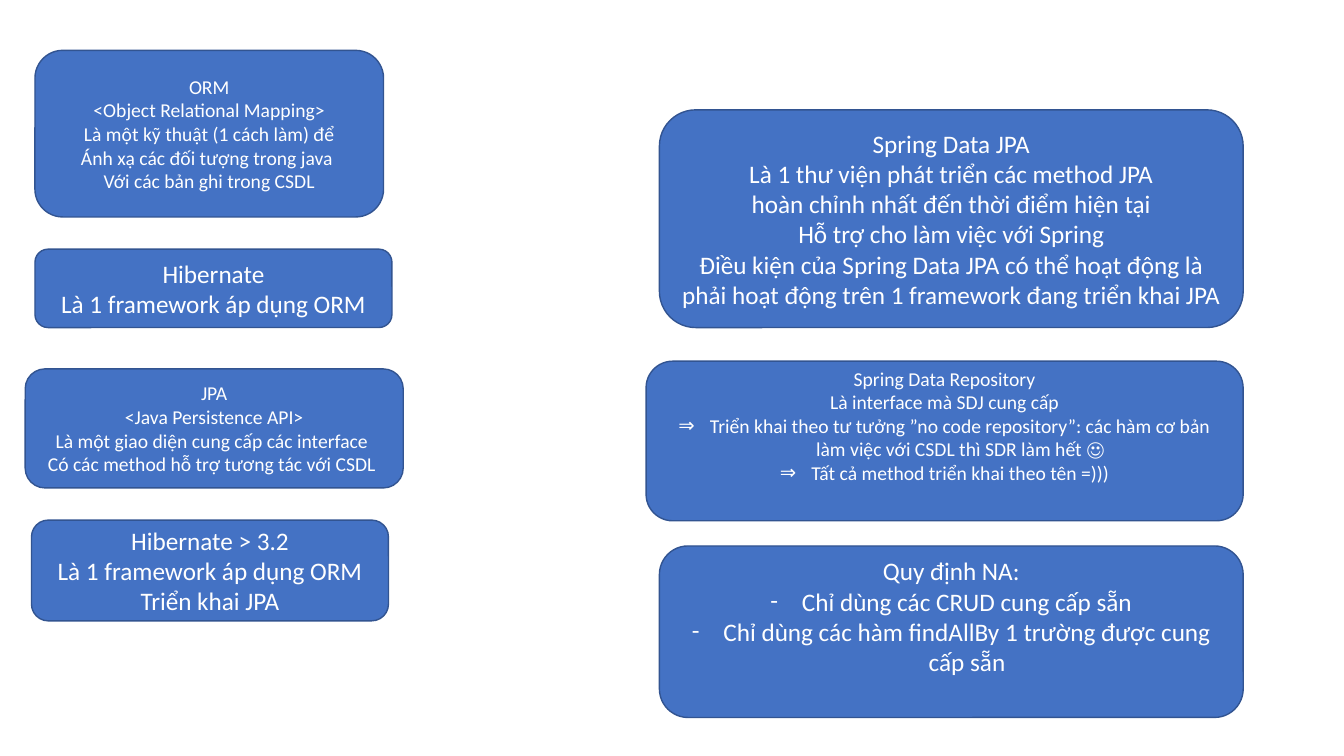
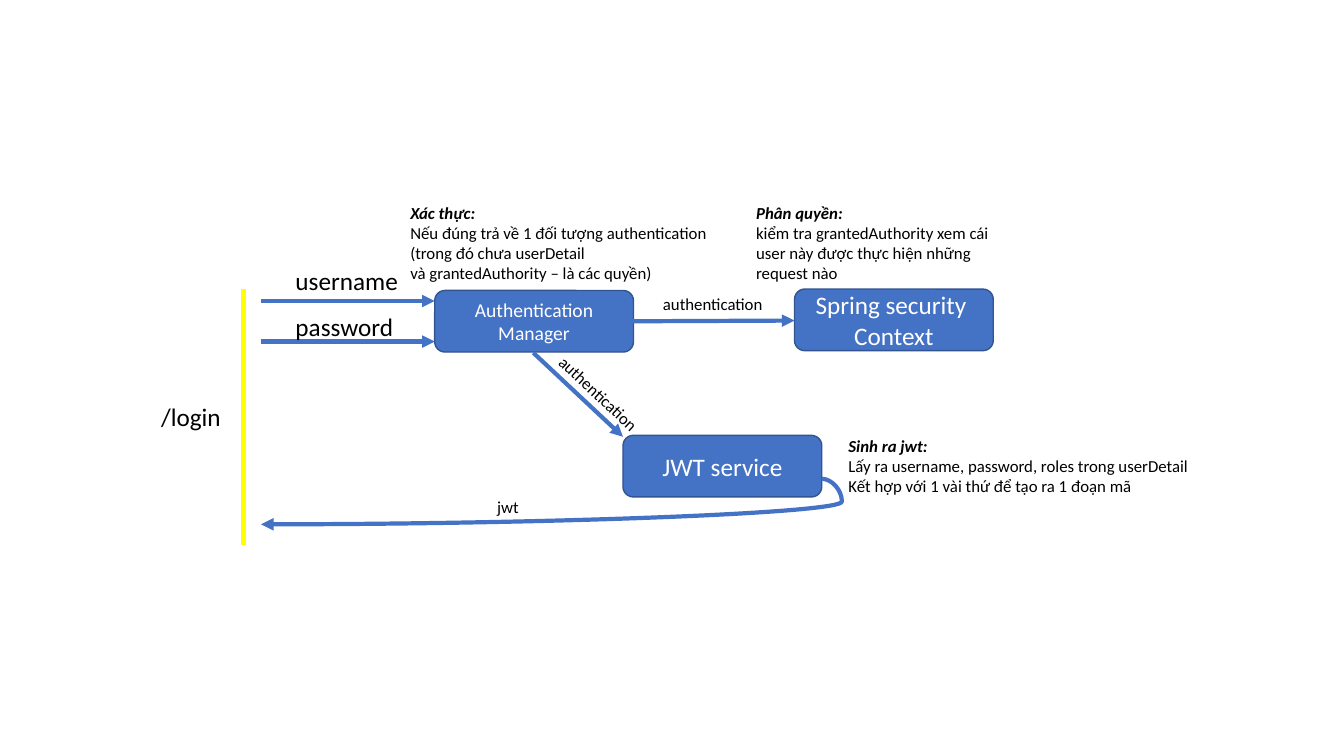
from pptx import Presentation
from pptx.dml.color import RGBColor
from pptx.enum.shapes import MSO_CONNECTOR as Link, MSO_SHAPE as Preset
from pptx.enum.text import MSO_ANCHOR as Anchor, PP_ALIGN as Align
from pptx.oxml.ns import qn
from pptx.util import Pt
from lxml.etree import SubElement

BLUE = RGBColor(0x44, 0x72, 0xC4)
EDGE = RGBColor(0x32, 0x54, 0x91)
WHITE = RGBColor(0xFF, 0xFF, 0xFF)
BLACK = RGBColor(0, 0, 0)
YELLOW = RGBColor(0xFF, 0xFF, 0)
FONT = "Calibri"
LARGE, MEDIUM, SMALL = 18, 14, 12
INDENT = 22.5
BULLETS = ("⇒", "-")


def points(values):
    return [Pt(value) for value in values]


def add_bullet(para, mark):
    props = para._p.get_or_add_pPr()
    props.set("marL", str(Pt(INDENT)))
    props.set("indent", str(-Pt(INDENT)))
    SubElement(props, qn("a:buFont"), typeface=FONT)
    SubElement(props, qn("a:buChar"), char=mark)


def write(frame, lines, size, color, align, titled=False):
    """One paragraph a line; a (mark, text) pair is a bulleted line."""
    for index, line in enumerate(lines):
        para = frame.paragraphs[0] if index == 0 else frame.add_paragraph()
        para.alignment = align
        if isinstance(line, tuple):
            mark, line = line
            add_bullet(para, mark)
        span = para.add_run()
        span.text = line
        font = span.font
        font.name, font.size = FONT, Pt(size)
        font.color.rgb = color
        font.bold = font.italic = titled and index == 0


def add_card(page, box, lines, size=LARGE, lift=0):
    """Rounded blue card; lift is extra room kept free under the text."""
    card = page.shapes.add_shape(Preset.ROUNDED_RECTANGLE, *points(box))
    card.shadow.inherit = False
    card.fill.solid()
    card.fill.fore_color.rgb = BLUE
    card.line.color.rgb = EDGE
    card.line.width = Pt(1)
    frame = card.text_frame
    frame.word_wrap = True
    frame.vertical_anchor = Anchor.MIDDLE
    frame.margin_bottom = Pt(3.6 + lift)
    write(frame, lines, size, WHITE, Align.CENTER)


def add_label(page, box, lines, size=SMALL, titled=False, wrap=False, angle=0):
    label = page.shapes.add_textbox(*points(box))
    label.rotation = angle
    label.text_frame.word_wrap = wrap
    write(label.text_frame, lines, size, BLACK, Align.LEFT, titled)


def add_line(page, ends, color=BLUE, kind=Link.STRAIGHT, arrow=True):
    line = page.shapes.add_connector(kind, *points(ends))
    line.line.color.rgb = color
    line.line.width = Pt(3)
    if arrow:
        SubElement(line.line._get_or_add_ln(), qn("a:tailEnd"), type="triangle")
    SubElement(line._element.spPr, qn("a:effectLst"))
    return line


def orm_column(page, left, top):
    add_card(page, (left + 7, top, 249, 119), [
        "ORM", "<Object Relational Mapping>", "Là một kỹ thuật (1 cách làm) để",
        "Ánh xạ các đối tượng trong java ", "Với các bản ghi trong CSDL"], MEDIUM)
    add_card(page, (left + 7, top + 142, 255, 56), [
        "Hibernate", "Là 1 framework áp dụng ORM"])
    add_card(page, (left, top + 227.5, 270, 85), [
        "JPA", "<Java Persistence API>", "Là một giao diện cung cấp các interface ",
        "Có các method hỗ trợ tương tác với CSDL "], MEDIUM)
    add_card(page, (left + 4.5, top + 335.5, 255, 72), [
        "Hibernate > 3.2", "Là 1 framework áp dụng ORM", "Triển khai JPA"])


def spring_column(page, left, top):
    arrow, dash = BULLETS
    add_card(page, (left + 9.5, top, 417, 155.5), [
        "Spring Data JPA", "Là 1 thư viện phát triển các method JPA",
        "hoàn chỉnh nhất đến thời điểm hiện tại", "Hỗ trợ cho làm việc với Spring",
        "Điều kiện của Spring Data JPA có thể hoạt động là phải hoạt động "
        "trên 1 framework đang triển khai JPA"])
    add_card(page, (left, top + 179.5, 426.5, 114), [
        "Spring Data Repository", "Là interface mà SDJ cung cấp",
        (arrow, "Triển khai theo tư tưởng ”no code repository”: các hàm cơ bản "
                "làm việc với CSDL thì SDR làm hết ☺"),
        (arrow, "Tất cả method triển khai theo tên =)))")], MEDIUM, lift=22)
    add_card(page, (left + 9.5, top + 311.5, 417, 122.5), [
        "Quy định NA:", (dash, "Chỉ dùng các CRUD cung cấp sẵn"),
        (dash, "Chỉ dùng các hàm findAllBy 1 trường được cung cấp sẵn")], lift=22)


def login_endpoint(page, left, top):
    add_label(page, (left, top + 76.5, 57.5, 29), ["/login"], LARGE)
    add_line(page, (left + 66, top, left + 66, top + 183), YELLOW, arrow=False)
    for text, label_top, arrow_top in (("username", -20.5, 8.5), ("password", 12.5, 37.5)):
        y = top + arrow_top
        add_line(page, (left + 78.5, y, left + 202.5, y))
        add_label(page, (left + 96, top + label_top, 88, 29), [text], LARGE)


def security_services(page, left, top):
    width, height = 142, 44
    add_card(page, (left, top + 1, width, height), ["Authentication", "Manager"], MEDIUM)
    add_card(page, (left + 257, top, width, height), ["Spring security ", "Context"])
    add_card(page, (left + 134.5, top + 104.5, width, height), ["JWT service"])

    add_line(page, (left + 139.5, top + 23, left + 257, top + 22.5))
    add_line(page, (left + 70.5, top + 45.5, left + 134.5, top + 105.5))
    back = add_line(page, (left + 276.5, top + 135.5, left - 124, top + 168), kind=Link.CURVE)
    guides = back._element.spPr.find(qn("a:prstGeom")).get_or_add_avLst()
    SubElement(guides, qn("a:gd"), name="adj1", fmla="val -3600")

    add_label(page, (left + 156, top, 86.5, 22), ["authentication"])
    add_label(page, (left + 74, top + 64, 86.5, 22), ["authentication"], wrap=True, angle=43.1)
    add_label(page, (left + 37.5, top + 145, 30, 22), ["jwt"])

    add_label(page, (left - 24.5, top - 65.5, 230, 65.5), [
        "Xác thực:", "Nếu đúng trả về 1 đối tượng authentication",
        "(trong đó chưa userDetail", "và grantedAuthority – là các quyền)"], titled=True)
    add_label(page, (left + 222.5, top - 65.5, 189.5, 65.5), [
        "Phân quyền:", "kiểm tra grantedAuthority xem cái user này được thực hiện "
        "những request nào"], titled=True, wrap=True)
    add_label(page, (left + 288.5, top + 101, 260, 51), [
        "Sinh ra jwt:", "Lấy ra username, password, roles trong userDetail",
        "Kết hợp với 1 vài thứ để tạo ra 1 đoạn mã"], titled=True)


def main():
    deck = Presentation()
    deck.slide_width, deck.slide_height = Pt(960), Pt(540)
    blank = deck.slide_layouts[6]

    concepts = deck.slides.add_slide(blank)
    orm_column(concepts, 18, 36)
    spring_column(concepts, 461.5, 78.5)

    login = deck.slides.add_slide(blank)
    login_endpoint(login, 108, 206.5)
    security_services(login, 310.5, 206.5)

    deck.save("out.pptx")


if __name__ == "__main__":
    main()
